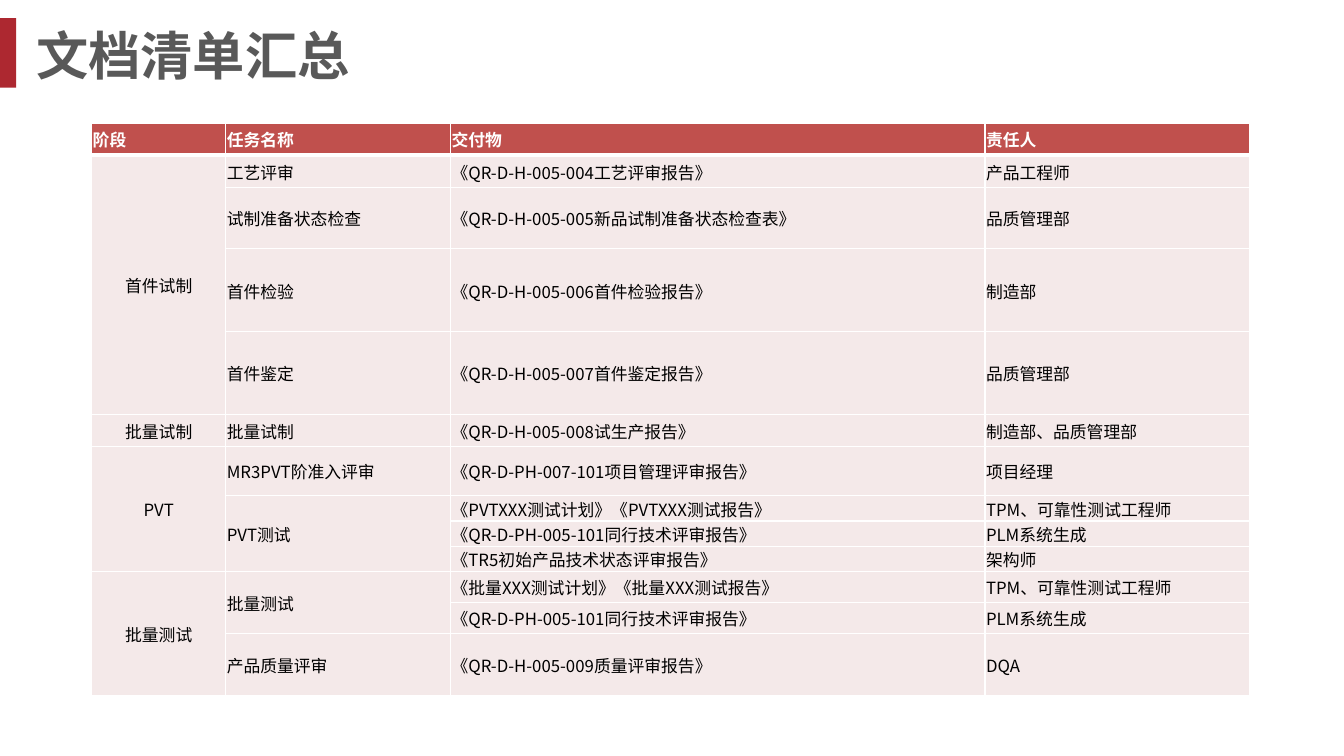
from dataclasses import dataclass

from pptx import Presentation
from pptx.dml.color import RGBColor
from pptx.enum import shapes, text
from pptx.oxml import ns
from pptx.util import Inches, Pt
from lxml import etree


@dataclass(frozen=True)
class Theme:
    font: str = "Noto Sans CJK SC"
    bar: str = "AD2830"
    title: str = "595959"
    head: str = "C0504D"
    body: str = "F4E9E9"
    white: str = "FFFFFF"
    black: str = "000000"
    big: float = 37.3
    small: float = 12


THEME = Theme()
LEFT, MID = text.PP_ALIGN.LEFT, text.PP_ALIGN.CENTER
WIDTHS = [1.33, 2.23, 5.3, 2.62]
HEIGHTS = [0.32, 0.32, 0.61, 0.82, 0.82, 0.32, 0.49,
           0.25, 0.25, 0.25, 0.31, 0.31, 0.61]

# None continues the cell above
ROWS = [
    ("阶段", "任务名称", "交付物", "责任人"),
    ("首件试制", "工艺评审", "《QR-D-H-005-004工艺评审报告》", "产品工程师"),
    (None, "试制准备状态检查", "《QR-D-H-005-005新品试制准备状态检查表》", "品质管理部"),
    (None, "首件检验", "《QR-D-H-005-006首件检验报告》", "制造部"),
    (None, "首件鉴定", "《QR-D-H-005-007首件鉴定报告》", "品质管理部"),
    ("批量试制", "批量试制", "《QR-D-H-005-008试生产报告》", "制造部、品质管理部"),
    ("PVT", "MR3PVT阶准入评审", "《QR-D-PH-007-101项目管理评审报告》", "项目经理"),
    (None, "PVT测试", "《PVTXXX测试计划》《PVTXXX测试报告》", "TPM、可靠性测试工程师"),
    (None, None, "《QR-D-PH-005-101同行技术评审报告》", "PLM系统生成"),
    (None, None, "《TR5初始产品技术状态评审报告》", "架构师"),
    ("批量测试", "批量测试", "《批量XXX测试计划》《批量XXX测试报告》", "TPM、可靠性测试工程师"),
    (None, None, "《QR-D-PH-005-101同行技术评审报告》", "PLM系统生成"),
    (None, "产品质量评审", "《QR-D-H-005-009质量评审报告》", "DQA"),
]


def write(frame, words, size, color, bold=False, align=LEFT):
    frame.text = words
    para = frame.paragraphs[0]
    para.alignment = align
    for run in para.runs:
        font = run.font
        font.size, font.bold, font.name = Pt(size), bold, THEME.font
        font.color.rgb = RGBColor.from_string(color)
        east = etree.Element(ns.qn("a:ea"), typeface=THEME.font)
        font._element.find(ns.qn("a:latin")).addnext(east)


def add_bar(slide):
    bar = slide.shapes.add_shape(shapes.MSO_SHAPE.RECTANGLE, Inches(0),
                                 Inches(0.18), Inches(0.16), Inches(0.69))
    bar.shadow.inherit = False
    bar.fill.solid()
    bar.fill.fore_color.rgb = RGBColor.from_string(THEME.bar)
    bar.line.fill.background()


def add_title(slide, words):
    box = slide.shapes.add_textbox(Inches(0.26), Inches(0.18),
                                   Inches(10.81), Inches(0.73))
    frame = box.text_frame
    frame.word_wrap = True
    frame.vertical_anchor = text.MSO_ANCHOR.MIDDLE
    write(frame, words, THEME.big, THEME.title, True)


def set_edge(cell, side, width):
    line = etree.SubElement(cell._tc.get_or_add_tcPr(),
                            ns.qn("a:ln" + side), w=str(Pt(width)))
    fill = etree.SubElement(line, ns.qn("a:solidFill"))
    etree.SubElement(fill, ns.qn("a:srgbClr"), val=THEME.white)


def style_cell(cell, row):
    # The rule under the header is thicker
    thick = {(0, "B"), (1, "T")}
    for side in "LRTB":
        set_edge(cell, side, 3 if (row, side) in thick else 1)
    cell.fill.solid()
    cell.fill.fore_color.rgb = RGBColor.from_string(
        THEME.body if row else THEME.head)
    cell.vertical_anchor = text.MSO_ANCHOR.MIDDLE
    cell.margin_left = cell.margin_right = cell.margin_top = Inches(0.01)
    cell.margin_bottom = Inches(0)


def add_grid(slide):
    frame = slide.shapes.add_table(len(ROWS), len(WIDTHS), Inches(0.91),
                                   Inches(1.22), Inches(sum(WIDTHS)),
                                   Inches(sum(HEIGHTS)))
    grid = frame.table
    grid.horz_banding = False
    for col, width in zip(grid.columns, WIDTHS):
        col.width = Inches(width)
    for row, height in zip(grid.rows, HEIGHTS):
        row.height = Inches(height)

    for r, row in enumerate(ROWS):
        for c, words in enumerate(row):
            cell = grid.cell(r, c)
            style_cell(cell, r)
            write(cell.text_frame, words or "", THEME.small,
                  THEME.black if r else THEME.white, r == 0,
                  MID if r and c == 0 else LEFT)

    # Join each cell with the empty ones below it
    for c in range(len(WIDTHS)):
        starts = [r for r, row in enumerate(ROWS) if row[c]]
        for top, end in zip(starts, starts[1:] + [len(ROWS)]):
            if end - top > 1:
                grid.cell(top, c).merge(grid.cell(end - 1, c))


def main():
    deck = Presentation()
    deck.slide_width, deck.slide_height = Inches(13.33), Inches(7.5)
    slide = deck.slides.add_slide(deck.slide_layouts[6])
    add_bar(slide)
    add_title(slide, "文档清单汇总")
    add_grid(slide)
    deck.save("out.pptx")


if __name__ == "__main__":
    main()
